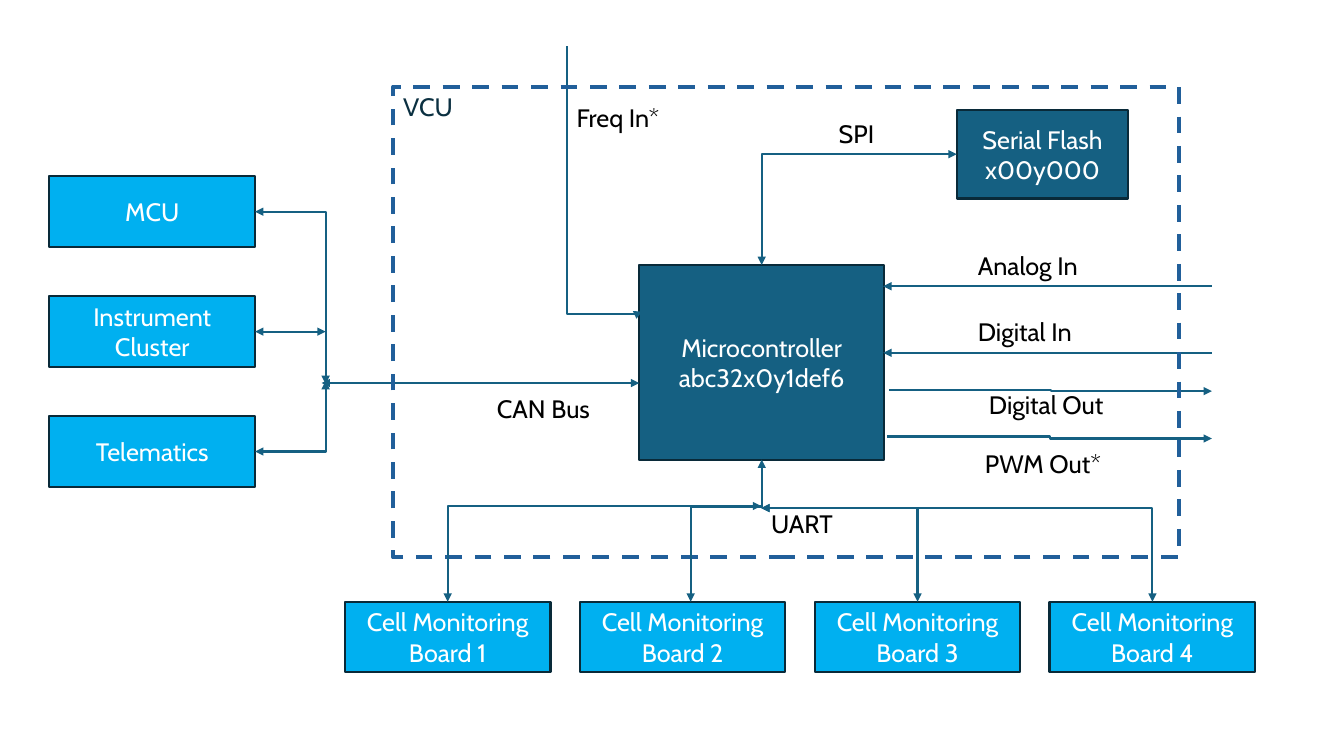
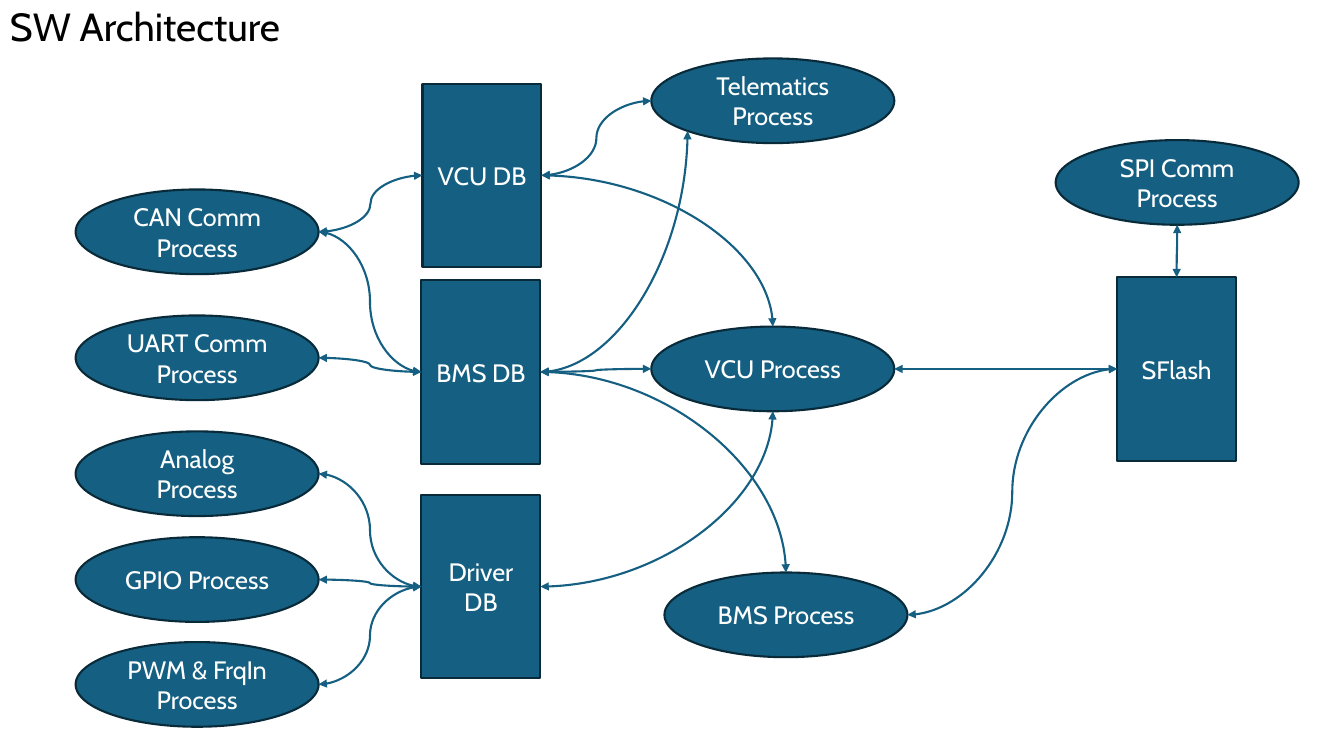
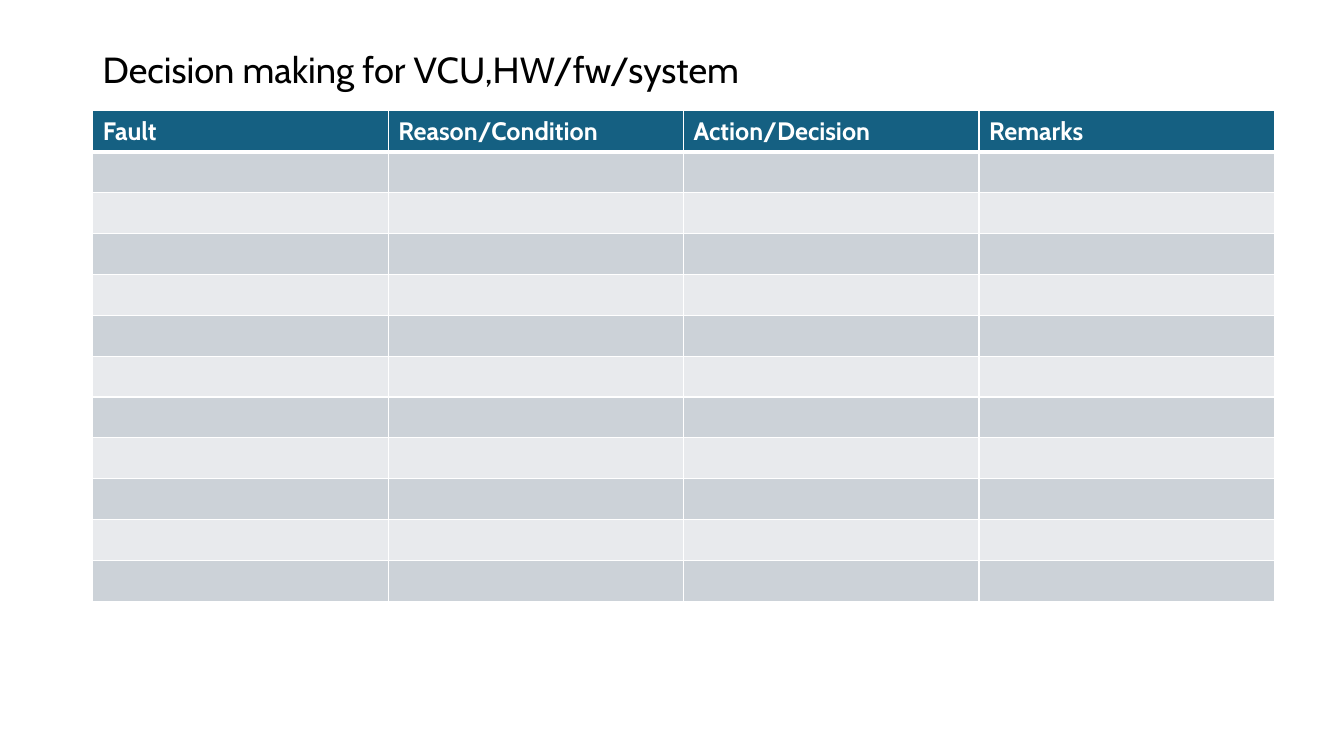
from lxml.etree import SubElement
from pptx import Presentation
from pptx.dml.color import RGBColor
from pptx.enum.dml import MSO_LINE
from pptx.enum.shapes import MSO_CONNECTOR, MSO_SHAPE
from pptx.enum.text import MSO_ANCHOR, PP_ALIGN
from pptx.oxml.ns import qn
from pptx.util import Emu, Pt

FONT = "Cabin"
BODY_SIZE = 18
TEAL, SKY, OUTLINE = "156082", "00B0F0", "092A39"
WHITE, BLACK = "FFFFFF", "000000"
FRAME_BLUE, FRAME_TEXT = "215F9A", "0B3041"
BANDS = ("CCD2D8", "E8EAED")

TOP, LEFT, BOTTOM, RIGHT = range(4)
BENT_ONCE, BENT_TWICE = "bentConnector2", "bentConnector3"
CURVED_ONCE, CURVED_TWICE = "curvedConnector2", "curvedConnector3"
STRAIGHT = "line"

PEER_SIZE = (204, 70)
DATABASE_SIZE = (118, 182)
PROCESS_SIZE = (241, 84)


def px(length):
    """100 px make one inch."""
    return Emu(length * 9144)


def color(hex_code):
    return RGBColor.from_string(hex_code)


def write(frame, text, ink, size=BODY_SIZE, align=PP_ALIGN.LEFT, bold=False, spacing=None):
    frame.word_wrap = True
    for number, line in enumerate(text.split("\n")):
        paragraph = frame.add_paragraph() if number else frame.paragraphs[0]
        paragraph.alignment = align
        paragraph.line_spacing = spacing
        run = paragraph.add_run()
        run.text = line
        run.font.name = FONT
        run.font.size = Pt(size)
        run.font.bold = bold
        run.font.color.rgb = color(ink)


def add_text(slide, text, left, top, width, height=40, **style):
    box = slide.shapes.add_textbox(px(left), px(top), px(width), px(height))
    write(box.text_frame, text, BLACK, **style)


def add_node(slide, text, left, top, size, fill=TEAL, outline=MSO_SHAPE.RECTANGLE):
    node = slide.shapes.add_shape(outline, px(left), px(top), px(size[0]), px(size[1]))
    node.shadow.inherit = False
    node.fill.solid()
    node.fill.fore_color.rgb = color(fill)
    node.line.color.rgb = color(OUTLINE)
    node.line.width = Pt(1.5)
    node.text_frame.vertical_anchor = MSO_ANCHOR.MIDDLE
    write(node.text_frame, text, WHITE, align=PP_ALIGN.CENTER)
    return node


def add_process(slide, text, left, top):
    return add_node(slide, text, left, top, PROCESS_SIZE, outline=MSO_SHAPE.OVAL)


def add_database(slide, text, left, top):
    return add_node(slide, text, left, top, DATABASE_SIZE)


def is_point(end):
    return isinstance(end[0], int)


def add_wire(slide, start, end, route=STRAIGHT, upright=False, bend=None, both=True):
    """Each end is a point in px or a (node, side) pair; upright wires leave vertically."""
    kind = (MSO_CONNECTOR.STRAIGHT if route == STRAIGHT else
            MSO_CONNECTOR.CURVE if route in (CURVED_ONCE, CURVED_TWICE) else MSO_CONNECTOR.ELBOW)
    corners = [px(v) for end_point in (start, end)
               for v in (end_point if is_point(end_point) else (0, 0))]
    wire = slide.shapes.add_connector(kind, *corners)
    joints = wire._element.nvCxnSpPr.cNvCxnSpPr
    for target, connect, tag in ((start, wire.begin_connect, "a:stCxn"),
                                 (end, wire.end_connect, "a:endCxn")):
        if not is_point(target):
            node, side = target
            connect(node, side)
            if node.auto_shape_type == MSO_SHAPE.OVAL:
                joints.find(qn(tag)).set("idx", str(2 * side))  # ovals have eight sites

    properties = wire._element.spPr
    geometry = properties.find(qn("a:prstGeom"))
    geometry.set("prst", route)
    if bend is not None:
        adjustments = geometry.find(qn("a:avLst"))
        SubElement(adjustments, qn("a:gd"), name="adj1", fmla=f"val {round(bend * 100000)}")
    if upright:
        turn_upright(wire)

    wire.line.color.rgb = color(TEAL)
    wire.line.width = Pt(1.5)
    stroke = properties.find(qn("a:ln"))
    if both:
        SubElement(stroke, qn("a:headEnd"), type="triangle")
    SubElement(stroke, qn("a:tailEnd"), type="triangle")
    SubElement(properties, qn("a:effectLst"))


def turn_upright(wire):
    """Rotate a quarter turn, keeping both ends in place."""
    across, down = wire.end_x - wire.begin_x, wire.end_y - wire.begin_y
    center_x = (wire.begin_x + wire.end_x) // 2
    center_y = (wire.begin_y + wire.end_y) // 2
    wire.width, wire.height = Emu(abs(down)), Emu(abs(across))
    wire.left, wire.top = Emu(center_x - abs(down) // 2), Emu(center_y - abs(across) // 2)
    transform = wire._element.spPr.find(qn("a:xfrm"))
    transform.set("rot", "5400000")
    transform.set("flipH", str(int(down < 0)))
    transform.set("flipV", str(int(across > 0)))


def add_vehicle_unit(slide, left, top):
    """Control unit with its inner parts and signals; returns the microcontroller."""
    def place(x, y):
        return left + x, top + y

    controller = add_node(slide, "Microcontroller\nabc32x0y1def6", *place(244, 177), (243, 193))
    flash = add_node(slide, "Serial Flash\nx00y000", *place(559, 23), (170, 88))
    add_wire(slide, (flash, LEFT), (controller, TOP), BENT_ONCE)
    add_wire(slide, place(244, 294), place(-71, 294))
    add_wire(slide, place(172, -40), place(247, 223), BENT_TWICE, upright=True, bend=1.01, both=False)

    outside = 812
    for y in (198, 264):
        add_wire(slide, place(outside, y), place(486, y), both=False)
    for x, y, end_y in ((492, 301, 302), (490, 347, 349)):
        add_wire(slide, place(x, y), place(outside, end_y), BENT_TWICE, both=False)

    for text, x, y, width in (
        ("SPI", 432, 26, 69), ("CAN Bus", 93, 299, 127), ("UART", 365, 413, 127),
        ("Analog In", 570, 157, 127), ("Digital In", 570, 223, 127),
        ("Digital Out", 581, 295, 177), ("PWM Out*", 577, 354, 177), ("Freq In*", 172, 11, 108),
    ):
        add_text(slide, text, *place(x, y), width)

    frame = slide.shapes.add_shape(MSO_SHAPE.RECTANGLE, px(left), px(top), px(779), px(467))
    frame.shadow.inherit = False
    frame.fill.background()
    frame.line.color.rgb = color(FRAME_BLUE)
    frame.line.width = Pt(3)
    frame.line.dash_style = MSO_LINE.DASH
    frame.text_frame.vertical_anchor = MSO_ANCHOR.TOP
    write(frame.text_frame, "VCU", FRAME_TEXT)
    return controller


def add_cell_boards(slide, left, top, controller):
    boards = [add_node(slide, f"Cell Monitoring Board {i + 1}", left + i * 233, top, PEER_SIZE, SKY)
              for i in range(4)]
    add_wire(slide, (controller, BOTTOM), (left + 343, top), BENT_TWICE, upright=True, bend=0.33)
    for board, rise in ((boards[0], 95), (boards[2], 93), (boards[3], 93)):
        add_wire(slide, (left + 413, top - rise), (board, TOP), BENT_ONCE)


def add_can_peers(slide, left, top):
    for i, (text, hub_y, route) in enumerate((
        ("MCU", 206, BENT_ONCE), ("Instrument Cluster", 154, STRAIGHT), ("Telematics", 203, BENT_ONCE),
    )):
        peer = add_node(slide, text, left, top + i * 119, PEER_SIZE, SKY)
        add_wire(slide, (peer, RIGHT), (left + 274, top + hub_y), route)


def build_hardware(slide):
    controller = add_vehicle_unit(slide, 390, 86)
    add_cell_boards(slide, 342, 597, controller)
    add_can_peers(slide, 49, 175)


def add_input_processes(slide, left, top):
    names = ("CAN Comm Process", "UART Comm Process", "Analog Process",
             "GPIO Process", "PWM & FrqIn Process")
    return [add_process(slide, name, left, top + drop)
            for name, drop in zip(names, (0, 125, 240, 345, 449))]


def add_databases(slide, left, top):
    return (add_database(slide, "VCU DB", left + 1, top),
            add_database(slide, "BMS DB", left, top + 195),
            add_database(slide, "Driver DB", left, top + 408))


def add_main_processes(slide, left, top):
    return (add_process(slide, "Telematics Process", left, top),
            add_process(slide, "VCU Process", left, top + 266),
            add_process(slide, "BMS Process", left + 13, top + 510))


def add_flash_storage(slide, left, top):
    spi = add_process(slide, "SPI Comm Process", left, top)
    flash = add_database(slide, "SFlash", left + 61, top + 136)
    add_wire(slide, (spi, BOTTOM), (flash, TOP), CURVED_TWICE, upright=True)
    return flash


def build_software(slide):
    add_text(slide, "SW Architecture", 0, 3, 631, 61, size=28, spacing=0.9)
    can, uart, analog, gpio, pwm = add_input_processes(slide, 75, 188)
    vcu_db, bms_db, driver_db = add_databases(slide, 418, 83)
    telematics, vcu, bms = add_main_processes(slide, 646, 58)
    flash = add_flash_storage(slide, 1047, 139)

    for source, target in (
        (can, vcu_db), (can, bms_db), (uart, bms_db),
        (analog, driver_db), (gpio, driver_db), (pwm, driver_db),
        (vcu_db, telematics), (bms_db, vcu), (bms, flash),
    ):
        add_wire(slide, (source, RIGHT), (target, LEFT), CURVED_TWICE)
    for database, process, side in ((vcu_db, vcu, TOP), (bms_db, bms, TOP), (driver_db, vcu, BOTTOM)):
        add_wire(slide, (database, RIGHT), (process, side), CURVED_ONCE)
    add_wire(slide, (bms_db, RIGHT), (682, 130), CURVED_ONCE)
    add_wire(slide, (vcu, RIGHT), (flash, LEFT))


def style_cell(cell, fill, top_width, bottom_width):
    properties = cell._tc.get_or_add_tcPr()
    for side, width in (("L", 1), ("R", 1), ("T", top_width), ("B", bottom_width)):
        border = SubElement(properties, qn(f"a:ln{side}"), w=str(Pt(width)))
        SubElement(SubElement(border, qn("a:solidFill")), qn("a:srgbClr"), val=WHITE)
    cell.fill.solid()
    cell.fill.fore_color.rgb = color(fill)


def add_decision_table(slide, left, top, width, height):
    headings = ("Fault", "Reason/Condition", "Action/Decision", "Remarks")
    table = slide.shapes.add_table(12, len(headings), px(left), px(top), px(width), px(height)).table
    table.horz_banding = False
    for number, row in enumerate(table.rows):
        fill = BANDS[(number - 1) % 2] if number else TEAL
        for cell in row.cells:
            style_cell(cell, fill, 3 if number == 1 else 1, 1 if number else 3)
    for cell, heading in zip(table.rows[0].cells, headings):
        write(cell.text_frame, heading, WHITE, bold=True)


def build_decisions(slide):
    left, width = 92, 1172
    add_text(slide, "Decision making for VCU,HW/fw/system", left, 54, width, 43, size=25.9, spacing=0.7)
    add_decision_table(slide, left, 110, width, 487)


def main():
    deck = Presentation()
    deck.slide_width, deck.slide_height = px(1333), px(750)
    for build in (build_hardware, build_software, build_decisions):
        build(deck.slides.add_slide(deck.slide_layouts[6]))
    deck.save("out.pptx")


if __name__ == "__main__":
    main()
